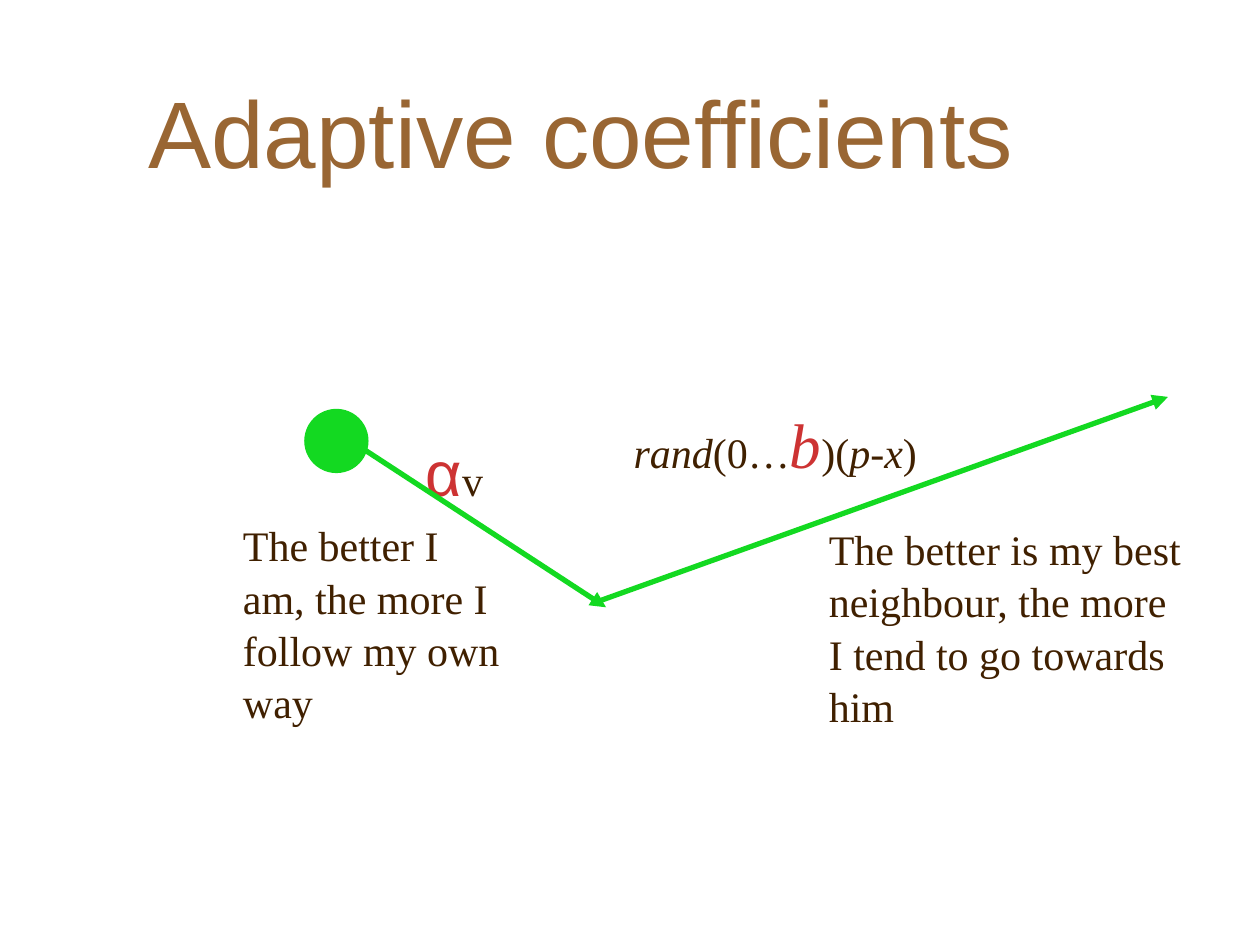
from lxml.etree import SubElement
from pptx import Presentation
from pptx.dml.color import RGBColor
from pptx.enum.shapes import MSO_CONNECTOR, MSO_SHAPE
from pptx.enum.text import MSO_ANCHOR
from pptx.oxml.ns import qn
from pptx.util import Inches, Pt

TITLE_BROWN = RGBColor(0x99, 0x66, 0x33)
TEXT_BROWN = RGBColor(0x40, 0x20, 0x00)
COEFFICIENT_RED = RGBColor(0xCD, 0x33, 0x33)
GREEN = RGBColor(0x13, 0xD9, 0x21)
SERIF = "Times New Roman"


def set_font(font, name, size, color):
    """Apply a typeface, point size and colour."""
    font.name = name
    font.size = Pt(size)
    font.color.rgb = color


def add_text_box(slide, box, anchor=MSO_ANCHOR.TOP):
    """Add a wrapping text box and return its first paragraph."""
    shape = slide.shapes.add_textbox(*map(Inches, box))
    shape.text_frame.word_wrap = True
    shape.text_frame.vertical_anchor = anchor
    return shape.text_frame.paragraphs[0]


def add_title(slide, box, text):
    """Place the slide title."""
    paragraph = add_text_box(slide, box, MSO_ANCHOR.MIDDLE)
    paragraph.text = text
    paragraph.line_spacing = 0.8
    set_font(paragraph.font, "Arial", 54, TITLE_BROWN)


def add_note(slide, box, text):
    """Place an explanatory note."""
    paragraph = add_text_box(slide, box)
    paragraph.text = text
    paragraph.line_spacing = 1.04
    set_font(paragraph.font, SERIF, 24, TEXT_BROWN)


def add_formula(slide, box, terms, coefficient, coefficient_font=SERIF, italics=()):
    """Place a formula with its coefficient enlarged in red."""
    paragraph = add_text_box(slide, box)
    for term in terms:
        run = paragraph.add_run()
        run.text = term
        run.font.italic = term in italics
        if term == coefficient:
            set_font(run.font, coefficient_font, 36, COEFFICIENT_RED)
        else:
            set_font(run.font, SERIF, 24, TEXT_BROWN)


def add_arrow(slide, start, end):
    """Draw a green arrow between two points."""
    arrow = slide.shapes.add_connector(
        MSO_CONNECTOR.STRAIGHT, *map(Inches, (*start, *end))
    )
    arrow.line.color.rgb = GREEN
    arrow.line.width = Pt(3)
    SubElement(arrow.line._get_or_add_ln(), qn("a:tailEnd"), type="triangle")
    SubElement(arrow._element.spPr, qn("a:effectLst"))


def add_particle(slide, box):
    """Draw the green particle."""
    particle = slide.shapes.add_shape(MSO_SHAPE.OVAL, *map(Inches, box))
    particle.shadow.inherit = False
    particle.fill.solid()
    particle.fill.fore_color.rgb = GREEN
    particle.line.color.rgb = GREEN
    particle.line.width = Pt(0.75)


def main():
    """Build and save the slide."""
    presentation = Presentation()
    presentation.slide_width = Inches(10)
    presentation.slide_height = Inches(7.5)
    slide = presentation.slides.add_slide(presentation.slide_layouts[6])

    add_title(slide, (1.08, 0.5, 8.5, 1.25), "Adaptive coefficients")
    add_note(
        slide,
        (1.83, 4.06, 2.24, 1.7),
        "The better I am, the more I follow my own way",
    )
    add_note(
        slide,
        (6.48, 4.09, 3.06, 1.7),
        "The better is my best neighbour, the more I tend to go towards him",
    )
    add_formula(slide, (3.28, 3.39, 1.15, 0.7), ("α", "v"), "α", "Arial")
    add_formula(
        slide,
        (4.93, 3.17, 2.96, 0.7),
        ("rand", "(0…", "b", ")(", "p", "-", "x", ")"),
        "b",
        italics=("rand", "b", "p", "x"),
    )
    add_arrow(slide, (2.71, 3.45), (4.81, 4.82))
    add_arrow(slide, (4.7, 4.79), (9.27, 3.15))
    add_particle(slide, (2.42, 3.25, 0.5, 0.5))

    presentation.save("out.pptx")


if __name__ == "__main__":
    main()
